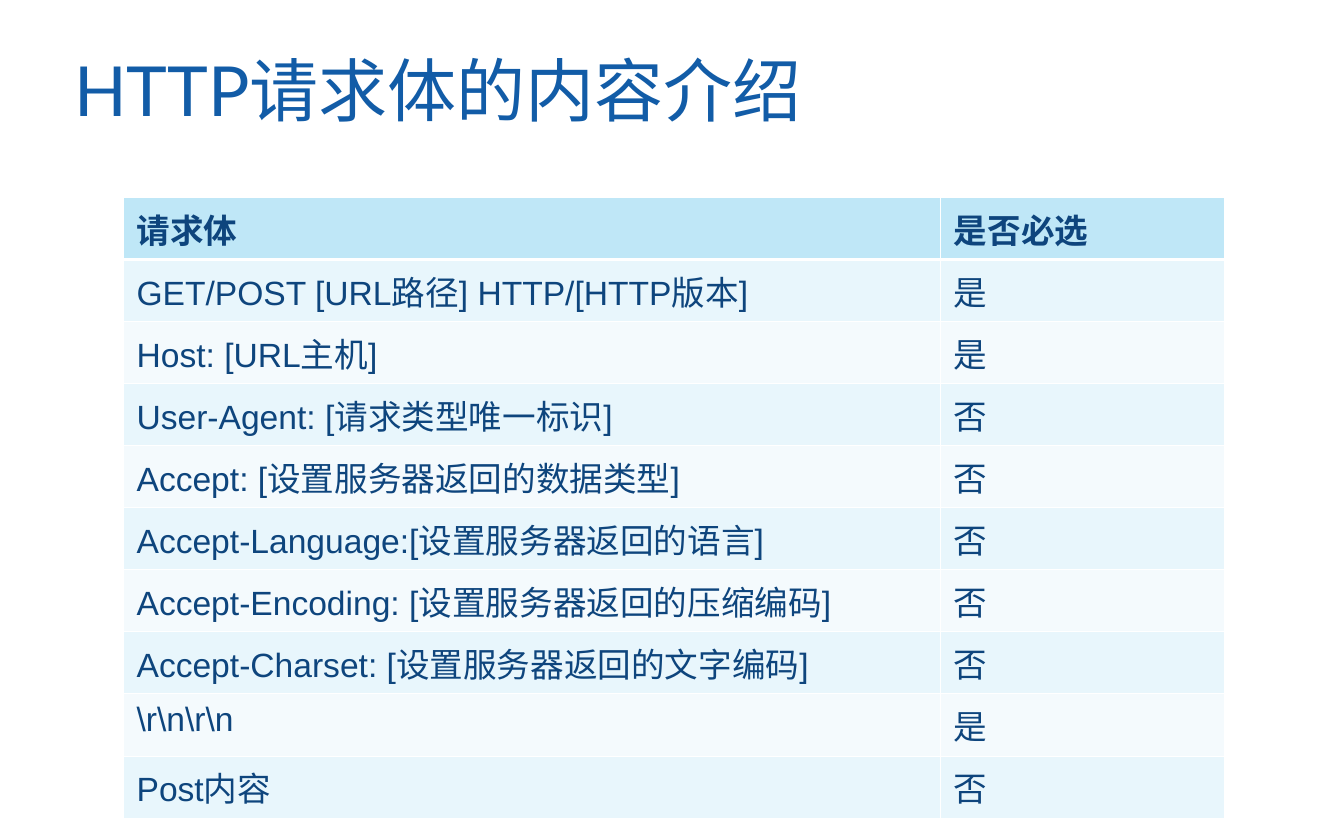
from lxml import etree
from pptx import Presentation
from pptx import util as u
from pptx.dml.color import RGBColor
from pptx.enum import text
from pptx.oxml.ns import qn

Pt = u.Pt

TITLE_BLUE = RGBColor(0x12, 0x5C, 0xA7)
TEXT_BLUE = RGBColor(0x0E, 0x45, 0x7D)
HEADER_FILL = RGBColor(0xBF, 0xE7, 0xF7)
BAND_FILLS = (RGBColor(0xE8, 0xF6, 0xFC), RGBColor(0xF4, 0xFA, 0xFD))
WHITE = RGBColor(0xFF, 0xFF, 0xFF)

THIN, THICK = 0.45, 1.47
COLUMN_WIDTHS = (437.8, 151.9)
ROW_HEIGHT = 33.26

ROWS = [
    ("请求体", "是否必选"),
    ("GET/POST [URL路径] HTTP/[HTTP版本]", "是"),
    ("Host: [URL主机]", "是"),
    ("User-Agent: [请求类型唯一标识]", "否"),
    ("Accept: [设置服务器返回的数据类型]", "否"),
    ("Accept-Language:[设置服务器返回的语言]", "否"),
    ("Accept-Encoding: [设置服务器返回的压缩编码]", "否"),
    ("Accept-Charset: [设置服务器返回的文字编码]", "否"),
    (r"\r\n\r\n", "是"),
    ("Post内容", "否"),
]


def add_run(p, content, font, size, color, bold=False):
    r = p.add_run()
    r.text = content
    r.font.name = font
    r.font.size = Pt(size)
    r.font.bold = bold
    r.font.color.rgb = color


def add_title(s, content):
    sp = s.shapes.add_textbox(Pt(32.7), Pt(5.4), Pt(648), Pt(90))
    tf = sp.text_frame
    tf.word_wrap = True
    tf.vertical_anchor = text.MSO_ANCHOR.MIDDLE
    p = tf.paragraphs[0]
    p.line_spacing = 0.9
    add_run(p, content, "Lato", 37, TITLE_BLUE)


def set_borders(cell, top, bottom):
    tc_pr = cell._tc.get_or_add_tcPr()
    for side, width in (("L", THIN), ("R", THIN), ("T", top), ("B", bottom)):
        ln = etree.SubElement(tc_pr, qn("a:ln" + side), w=str(int(Pt(width))))
        fill = etree.SubElement(ln, qn("a:solidFill"))
        etree.SubElement(fill, qn("a:srgbClr"), val=str(WHITE))


def fill_cell(cell, content, row):
    header = row == 0
    # Borders come before the fill in the cell properties
    set_borders(cell, THICK if row == 1 else THIN, THICK if header else THIN)
    cell.fill.solid()
    cell.fill.fore_color.rgb = HEADER_FILL if header else BAND_FILLS[(row - 1) % 2]
    add_run(cell.text_frame.paragraphs[0], content, "Arial", 18, TEXT_BLUE, header)


def add_request_table(s):
    frame = s.shapes.add_table(
        len(ROWS), len(COLUMN_WIDTHS), Pt(66), Pt(105.7),
        Pt(sum(COLUMN_WIDTHS)), Pt(ROW_HEIGHT * len(ROWS)))
    table = frame.table
    for column, width in zip(table.columns, COLUMN_WIDTHS):
        column.width = Pt(width)
    for i, values in enumerate(ROWS):
        table.rows[i].height = Pt(ROW_HEIGHT)
        for j, content in enumerate(values):
            fill_cell(table.cell(i, j), content, i)


def main():
    prs = Presentation()
    prs.slide_width, prs.slide_height = Pt(720), Pt(450)
    s = prs.slides.add_slide(prs.slide_layouts[6])

    # Title
    add_title(s, "HTTP请求体的内容介绍")

    # Request lines and whether each is required
    add_request_table(s)

    prs.save("out.pptx")


if __name__ == "__main__":
    main()
